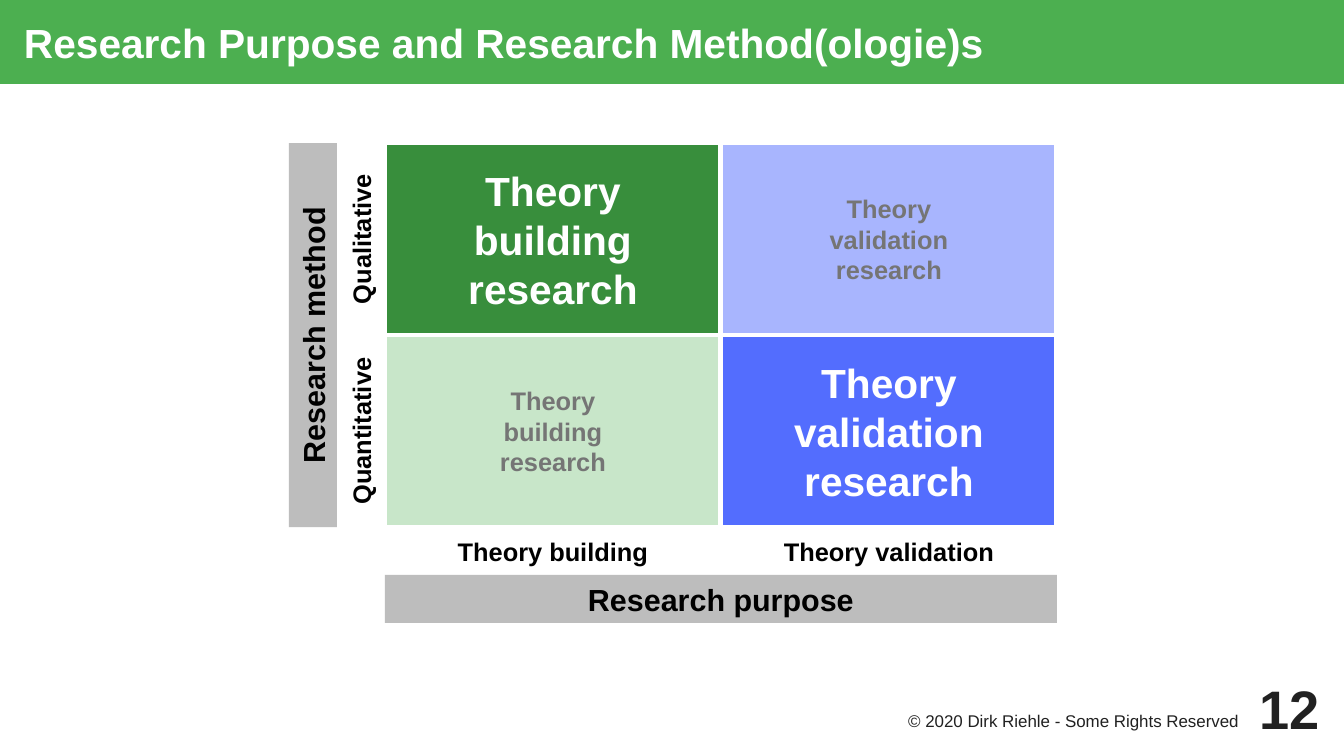
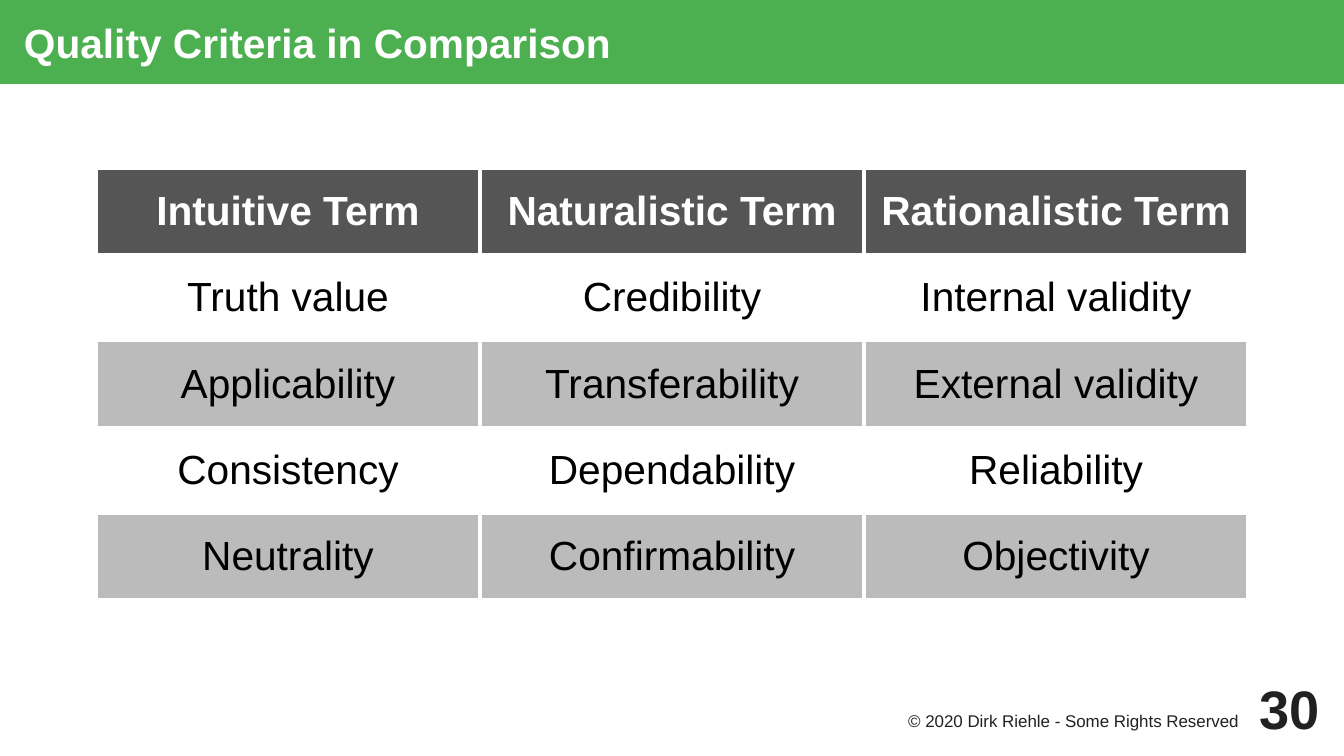
from lxml import etree
from pptx import Presentation
from pptx import util as u
from pptx.dml.color import RGBColor
from pptx.enum import shapes, text
from pptx.oxml import ns

COLORS = {
    "band": "4CAF50", "white": "FFFFFF", "black": "000000", "ink": "212121",
    "muted": "757575", "axis": "BDBDBD", "green": "388E3C", "pale": "C8E6C9",
    "blue": "536DFE", "header": "555555", "stripe": "BBBBBB",
}
FONT = "Arial"
LEFT, CENTER, RIGHT = text.PP_ALIGN.LEFT, text.PP_ALIGN.CENTER, text.PP_ALIGN.RIGHT
MIDDLE, TOP = text.MSO_ANCHOR.MIDDLE, text.MSO_ANCHOR.TOP

# The slide is a grid of 28 columns by 15.75 rows, one centimetre each
COLUMNS, ROWS = 28, 15.75
deck = Presentation()
deck.slide_width, deck.slide_height = u.Cm(COLUMNS), u.Cm(ROWS)


def write(frame, words, size, color, bold=False, align=CENTER):
    """Fill a text frame with one paragraph, one run per line."""
    para = frame.paragraphs[0]
    para.alignment = align
    for number, line in enumerate(words.split("\n")):
        if number:
            para.add_line_break()
        span = para.add_run()
        span.text = line
        span.font.name = FONT
        span.font.size = u.Pt(size)
        span.font.bold = bold
        span.font.color.rgb = RGBColor.from_string(COLORS[color])


def add_box(page, area, words, size, color, bold=True, align=CENTER, fill=None,
            insets=(0, 0, 0, 0), anchor=MIDDLE, upright=False):
    """Place text in a grid area; upright text reads from bottom to top."""
    left, top, width, height = area
    if upright:
        left, top = left + (width - height) / 2, top + (height - width) / 2
        width, height = height, width
    place = [u.Cm(value) for value in (left, top, width, height)]
    if fill:
        box = page.shapes.add_shape(shapes.MSO_SHAPE.RECTANGLE, *place)
        box.shadow.inherit = False
        box.fill.solid()
        box.fill.fore_color.rgb = RGBColor.from_string(COLORS[fill])
        box.line.fill.background()
    else:
        box = page.shapes.add_textbox(*place)
    if upright:
        box.rotation = 270
    frame = box.text_frame
    frame.word_wrap = True
    frame.vertical_anchor = anchor
    (frame.margin_left, frame.margin_top,
     frame.margin_right, frame.margin_bottom) = [u.Cm(inset) for inset in insets]
    write(frame, words, size, color, bold, align)
    return box


# Shared parts: title band, footer and page number
pages = []
for title, number in (("Research Purpose and Research Method(ologie)s", "12"),
                      ("Quality Criteria in Comparison", "30")):
    page = deck.slides.add_slide(deck.slide_layouts[6])
    add_box(page, (0, 0, COLUMNS, 1.75), title, 24, "white", align=LEFT,
            fill="band", insets=(0.5, 0, 0, 0))
    add_box(page, (18, 14.75, 8, 0.75), "© 2020 Dirk Riehle - Some Rights Reserved",
            10, "ink", bold=False, align=RIGHT, insets=(0, 0.05, 0.2, 0), anchor=TOP)
    add_box(page, (25.5, 14, 2, 1.5), number, 32, "ink", align=RIGHT)
    pages.append(page)
matrix_page, table_page = pages

# Matrix: two by two cells
X, Y, CELL_W, CELL_H = 8.02, 2.98, 7, 4
matrix = [
    (0, 0, "building", "green", 24, "white"),
    (1, 0, "validation", "blue", 15, "muted"),
    (0, 1, "building", "pale", 15, "muted"),
    (1, 1, "validation", "blue", 24, "white"),
]
for column, row, goal, fill, size, color in matrix:
    area = (X + column * CELL_W, Y + row * CELL_H, CELL_W, CELL_H)
    box = add_box(matrix_page, area, f"Theory\n{goal}\nresearch", size, color,
                  fill=fill, insets=(0.5, 0.5, 0.5, 0.5))
    box.text_frame.word_wrap = False
    box.line.color.rgb = RGBColor.from_string(COLORS["white"])
    box.line.width = u.Pt(2.83)
    if fill == "blue" and color == "muted":
        tint = box.fill._xPr.find(".//" + ns.qn("a:srgbClr"))
        etree.SubElement(tint, ns.qn("a:alpha"), val="50000")

# Matrix: column and row labels, then the two axis bars
for step, label in enumerate(("Theory building", "Theory validation")):
    add_box(matrix_page, (X + step * CELL_W, Y + 2 * CELL_H, CELL_W, 1),
            label, 15, "black", insets=(0.2, 0.2, 0.2, 0.2))
for step, label in enumerate(("Qualitative", "Quantitative")):
    add_box(matrix_page, (X - 1, Y + step * CELL_H, 1, CELL_H),
            label, 15, "black", insets=(0.2, 0.2, 0.2, 0.2), upright=True)
add_box(matrix_page, (X, Y + 2 * CELL_H + 1, 2 * CELL_W, 1),
        "Research purpose", 18, "black", fill="axis")
add_box(matrix_page, (X - 2, Y, 1, 2 * CELL_H),
        "Research method", 18, "black", fill="axis", upright=True)

# Table of quality criteria
criteria = [
    ("Intuitive Term", "Naturalistic Term", "Rationalistic Term"),
    ("Truth value", "Credibility", "Internal validity"),
    ("Applicability", "Transferability", "External validity"),
    ("Consistency", "Dependability", "Reliability"),
    ("Neutrality", "Confirmability", "Objectivity"),
]
table = table_page.shapes.add_table(
    len(criteria), len(criteria[0]), u.Cm(2), u.Cm(3.5), u.Cm(24), u.Cm(9)).table
for row, terms in enumerate(criteria):
    fill = "header" if row == 0 else ("white" if row % 2 else "stripe")
    for column, term in enumerate(terms):
        cell = table.cell(row, column)
        cell.vertical_anchor = MIDDLE
        cell.margin_left = cell.margin_right = u.Cm(0.2)
        write(cell.text_frame, term, 24, "black" if row else "white", bold=row == 0)
        # Borders come before the fill in the cell's properties
        properties = cell._tc.get_or_add_tcPr()
        for side in ("lnL", "lnR", "lnT", "lnB"):
            border = etree.SubElement(properties, ns.qn("a:" + side), w=str(u.Pt(2.27)))
            paint = etree.SubElement(border, ns.qn("a:solidFill"))
            etree.SubElement(paint, ns.qn("a:srgbClr"), val=COLORS["white"])
        cell.fill.solid()
        cell.fill.fore_color.rgb = RGBColor.from_string(COLORS[fill])

deck.save("out.pptx")
